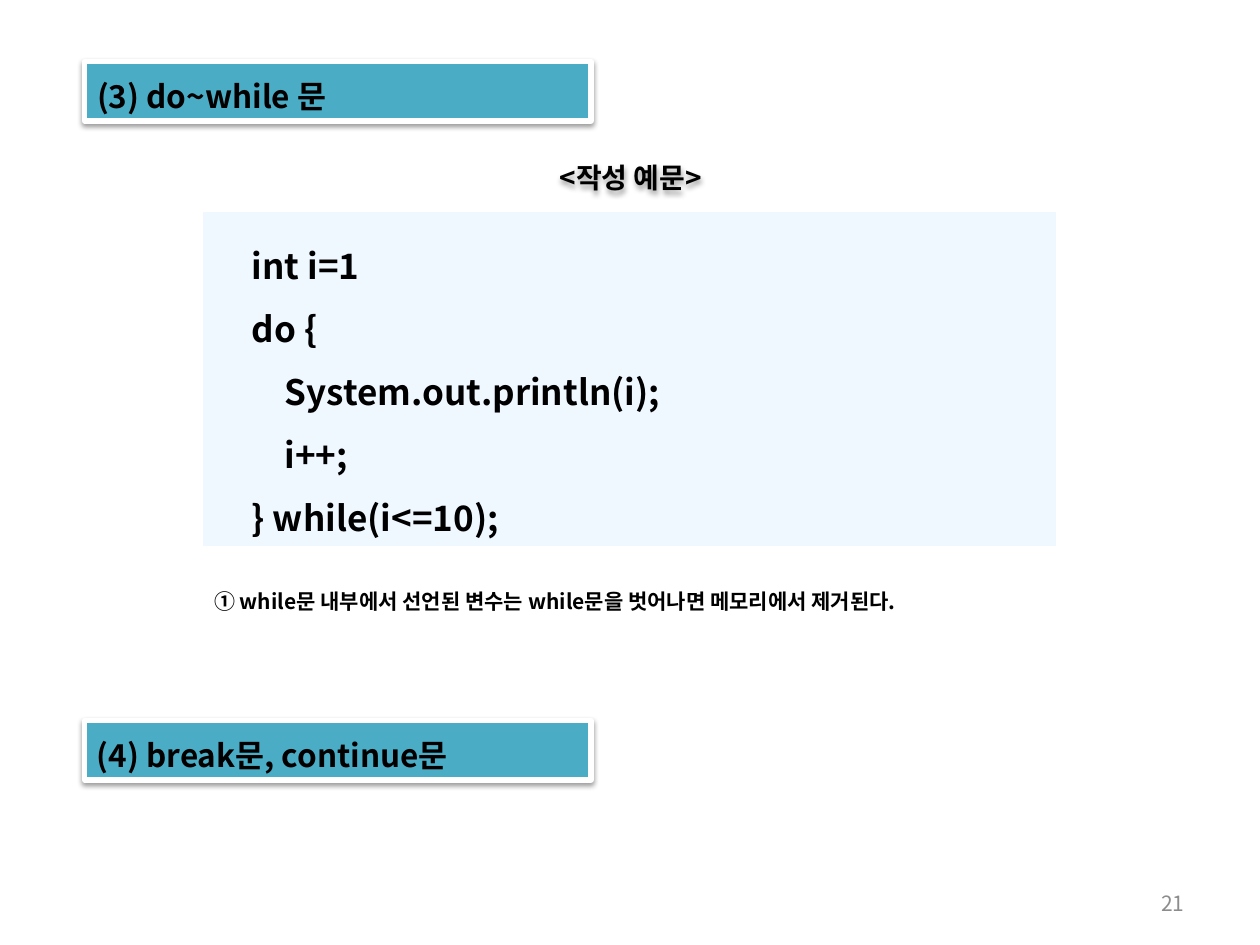
"""Build the slide on the do~while, break and continue statements."""
from lxml import etree
from pptx import Presentation
from pptx.dml.color import RGBColor
from pptx.enum.shapes import MSO_SHAPE
from pptx.enum.text import MSO_ANCHOR, MSO_AUTO_SIZE, PP_ALIGN
from pptx.oxml.ns import qn
from pptx.util import Inches, Pt

PROCESS = MSO_SHAPE.FLOWCHART_PROCESS
MIDDLE = MSO_ANCHOR.MIDDLE
NO_FIT = MSO_AUTO_SIZE.NONE
LEFT, CENTER, RIGHT = PP_ALIGN.LEFT, PP_ALIGN.CENTER, PP_ALIGN.RIGHT

THEME = {
    "font": "Noto Sans CJK KR",
    "ink": "000000", "number": "8C8C8C", "shadow": "000000",
    "banner": "4BACC6", "edge": "FFFFFF", "code": "EFF7FF",
    "heading_size": 18, "caption_size": 16, "code_size": 20, "note_size": 12,
}

HEADINGS = [("(3) do~while 문", 0.49), ("(4) break문, continue문", 5.72)]
CAPTION = "<작성 예문>"
CODE = [
    ("int i=1", 0),
    ("do {", 0),
    ("System.out.println(i);", 1),
    ("i++;", 1),
    ("} while(i<=10);", 0),
]
NOTE = "① while문 내부에서 선언된 변수는 while문을 벗어나면 메모리에서 제거된다."
PAGE_NUMBER = "21"
CODE_MARGIN, CODE_STEP = 0.29, 0.26
FIXED_SPACING = Pt(25)


def color(name):
    return RGBColor.from_string(THEME[name])


def place(box, left, top, width, height):
    box.left, box.top = Inches(left), Inches(top)
    box.width, box.height = Inches(width), Inches(height)


def add_panel(page, *area):
    return page.shapes.add_shape(PROCESS, *map(Inches, area))


def style(box, fill=None, edge=None, shadow=False):
    if fill:
        box.fill.solid()
        box.fill.fore_color.rgb = color(fill)
    else:
        box.fill.background()
    if edge:
        box.line.color.rgb = color(edge)
        box.line.width = Pt(3)
    else:
        box.line.fill.background()
    properties = box._element.spPr
    effects = etree.SubElement(properties, qn("a:effectLst"))
    if shadow:
        outer = etree.SubElement(effects, qn("a:outerShdw"), blurRad=str(Pt(3.1)),
                                 dist=str(Pt(1.6)), dir="5400000", rotWithShape="0")
        tint = etree.SubElement(outer, qn("a:srgbClr"), val=THEME["shadow"])
        etree.SubElement(tint, qn("a:alpha"), val="38000")


def write(box, lines, size, ink="ink", bold=True, align=LEFT, spacing=FIXED_SPACING):
    frame = box.text_frame
    frame.word_wrap = True
    frame.auto_size = NO_FIT
    frame.vertical_anchor = MIDDLE
    frame.margin_left = frame.margin_right = Inches(0.1)
    frame.margin_top, frame.margin_bottom = Inches(0.08), Inches(0.05)
    for index, (text, margin, indent) in enumerate(lines):
        para = frame.add_paragraph() if index else frame.paragraphs[0]
        para.alignment = align
        para.line_spacing = spacing
        para._p.get_or_add_pPr().set("marL", str(Inches(margin)))
        para._p.get_or_add_pPr().set("indent", str(Inches(indent)))
        span = para.add_run()
        span.text = text
        span.font.name = THEME["font"]
        span.font.size = Pt(THEME[size])
        span.font.bold = bold
        span.font.color.rgb = color(ink)
        etree.SubElement(span._r.get_or_add_rPr(), qn("a:ea"), typeface=THEME["font"])


def main():
    deck = Presentation()
    deck.slide_width, deck.slide_height = Inches(10), Inches(7.5)
    page = deck.slides.add_slide(deck.slide_layouts[5])

    for index, (heading, top) in enumerate(HEADINGS):
        area = (0.67, top, 4.02, 0.47)
        banner = add_panel(page, *area) if index else page.shapes.title
        place(banner, *area)
        style(banner, "banner", "edge", shadow=True)
        write(banner, [(heading, 0, 0)], "heading_size")

    note = add_panel(page, 1.6, 4.43, 7.02, 0.5)
    style(note)
    write(note, [(NOTE, 0.22, -0.22)], "note_size")

    code = add_panel(page, 1.61, 1.68, 6.77, 2.65)
    style(code, "code")
    lines = [(text, CODE_MARGIN + level * CODE_STEP, 0) for text, level in CODE]
    write(code, lines, "code_size", spacing=1.5)

    caption = add_panel(page, 4.06, 1.2, 1.89, 0.31)
    style(caption, shadow=True)
    write(caption, [(CAPTION, 0, 0)], "caption_size", align=CENTER)

    number = page.shapes.add_textbox(*map(Inches, (7.17, 6.95, 2.33, 0.4)))
    write(number, [(PAGE_NUMBER, 0, 0)], "note_size", "number", False, RIGHT, 1.0)

    deck.save("out.pptx")


if __name__ == "__main__":
    main()
